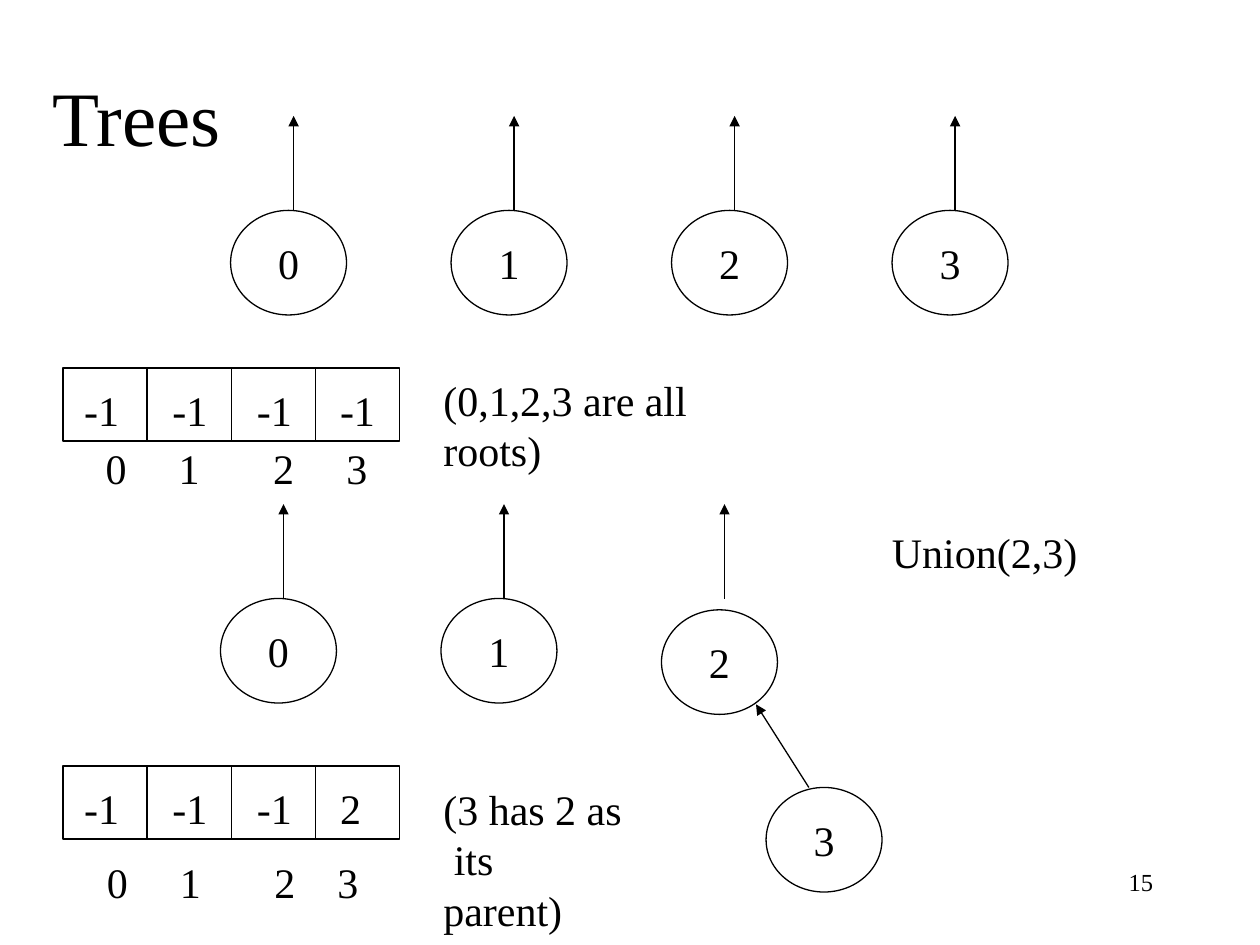
from lxml import etree
from pptx import Presentation
from pptx.dml.color import RGBColor
from pptx.enum.shapes import MSO_CONNECTOR as CONN, MSO_SHAPE as SHAPE
from pptx.enum.text import MSO_ANCHOR as ANCHOR, PP_ALIGN as ALIGN
from pptx.oxml.ns import qn
from pptx.util import Inches, Pt

COLORS = {"ink": "000000", "paper": "FFFFFF"}
FONT = "Times New Roman"
NODE_W, NODE_H = 0.92, 0.83
NODE_STEP = 1.75
ARROW_H = 0.75
ARRAY_W, ARRAY_H = 2.67, 0.58


def rgb(name):
    """Return the named colour."""
    return RGBColor.from_string(COLORS[name])


def write(tf, lines, size=24, align=ALIGN.LEFT):
    """Fill a text frame, one paragraph for each line."""
    for i, line in enumerate(lines):
        p = tf.paragraphs[0] if i == 0 else tf.add_paragraph()
        p.alignment = align
        r = p.add_run()
        r.text = line
        r.font.name, r.font.size = FONT, Pt(size)
        r.font.color.rgb = rgb("ink")


def add_text(s, box, *lines, size=24, align=ALIGN.LEFT, anchor=ANCHOR.TOP, wrap=False):
    """Add a text box and return its text frame."""
    tf = s.shapes.add_textbox(*map(Inches, box)).text_frame
    tf.word_wrap, tf.vertical_anchor = wrap, anchor
    write(tf, lines, size, align)
    return tf


def add_line(s, start, end, arrow=False):
    """Add a thin line, with an arrowhead at its end if asked."""
    line = s.shapes.add_connector(CONN.STRAIGHT, *map(Inches, (*start, *end)))
    line.line.color.rgb, line.line.width = rgb("ink"), Pt(0.75)
    if arrow:
        etree.SubElement(line.line._get_or_add_ln(), qn("a:tailEnd"), type="triangle")
    etree.SubElement(line._element.spPr, qn("a:effectLst"))


def add_outline(s, kind, box):
    """Add an unfilled, outlined shape."""
    sp = s.shapes.add_shape(kind, *map(Inches, box))
    sp.shadow.inherit = False
    sp.fill.background()
    sp.line.color.rgb, sp.line.width = rgb("ink"), Pt(0.75)
    return sp


def add_node(s, x, y, label):
    """Add a labelled tree node."""
    tf = add_outline(s, SHAPE.OVAL, (x, y, NODE_W, NODE_H)).text_frame
    tf.word_wrap, tf.vertical_anchor = False, ANCHOR.MIDDLE
    write(tf, [label], align=ALIGN.CENTER)


def add_roots(s, x, y, drops):
    """Add a row of root nodes with up arrows; drops lowers single nodes."""
    for i, drop in enumerate(drops):
        left = x + i * NODE_STEP
        add_node(s, left, y + drop, str(i))
        add_line(s, (left + 0.5, y), (left + 0.5, y - ARROW_H), arrow=True)


def add_array(s, x, y, values, index_at, tabs):
    """Add the parent array, with its indices on tab stops below."""
    add_outline(s, SHAPE.RECTANGLE, (x, y, ARRAY_W, ARRAY_H))
    cell = ARRAY_W / len(values)
    for i in range(1, len(values)):
        add_line(s, (x + i * cell, y), (x + i * cell, y + ARRAY_H))
    for value, dx in zip(values, (0.07, 0.77, 1.44, 2.1)):
        add_text(s, (x + dx, y + 0.08, 0.48, 0.5), value)
    indices = "".join(f"\t{i}" for i in range(len(values)))
    tf = add_text(s, (*index_at, 2.6, 0.5), indices, wrap=True)
    stops = etree.SubElement(tf.paragraphs[0]._p.get_or_add_pPr(), qn("a:tabLst"))
    for tab in tabs:
        etree.SubElement(stops, qn("a:tab"), pos=str(Inches(tab)), algn="l")


def build_slide(prs):
    """Build the slide on trees before and after a union."""
    s = prs.slides.add_slide(prs.slide_layouts[6])
    s.background.fill.solid()
    s.background.fill.fore_color.rgb = rgb("paper")
    add_text(s, (0.17, 0.42, 1.83, 1), "Trees", size=44,
             align=ALIGN.CENTER, anchor=ANCHOR.MIDDLE, wrap=True)
    add_text(s, (7.17, 6.83, 2.08, 0.5), "15", size=14, align=ALIGN.RIGHT, wrap=True)

    add_roots(s, 1.83, 1.67, (0, 0, 0, 0))
    add_array(s, 0.5, 2.92, ("-1", "-1", "-1", "-1"), (0.57, 3.46), (0.17, 0.75, 1.5, 2.08))
    add_text(s, (3.42, 2.92, 2.99, 0.5), "(0,1,2,3 are all roots)")

    add_text(s, (6.98, 4.13, 1.67, 0.5), "Union(2,3)")
    add_roots(s, 1.75, 4.75, (0, 0, 0.09))
    add_node(s, 6.08, 6.25, "3")
    add_line(s, (6.42, 6.25), (6, 5.59), arrow=True)
    add_array(s, 0.5, 6.08, ("-1", "-1", "-1", "2"), (0.58, 6.75), (0.17, 0.75, 1.5, 2))
    add_text(s, (3.42, 6.17, 1.62, 0.9), "(3 has 2 as", " its parent)")


prs = Presentation()
prs.slide_width, prs.slide_height = Inches(10), Inches(7.5)
build_slide(prs)
prs.save("out.pptx")
